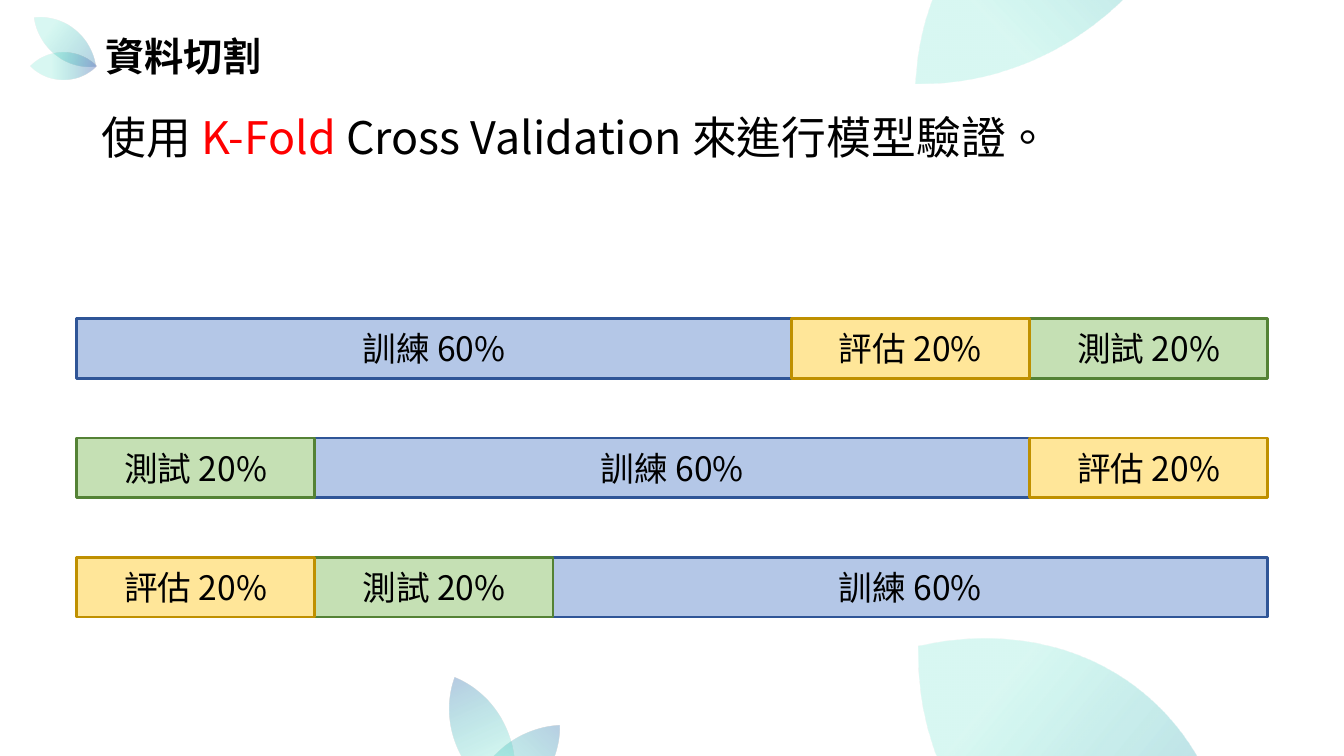
from lxml.etree import SubElement
from pptx import Presentation
from pptx.dml.color import RGBColor
from pptx.enum.lang import MSO_LANGUAGE_ID
from pptx.enum.shapes import MSO_SHAPE
from pptx.enum.text import MSO_ANCHOR, PP_ALIGN
from pptx.oxml.ns import qn
from pptx.util import Cm, Pt

COLORS = {
    "black": "000000", "red": "FF0000", "teal": "09D1AB", "violet": "6E7DC3",
    "blue": "B4C7E7", "dark blue": "2F5597", "green": "C5E0B4",
    "dark green": "548235", "yellow": "FFE699", "dark yellow": "BF9000",
}
SANS_SC, SANS_TC = "Noto Sans CJK SC", "Noto Sans CJK TC"
LANGUAGE = MSO_LANGUAGE_ID.TRADITIONAL_CHINESE

TEXTS = [
    {"box": (2.4, 0.69, 18.0, 1.45), "runs": [("資料切割", "black")],
     "format": {"name": SANS_SC, "size": Pt(28), "bold": True, "language_id": LANGUAGE}},
    {"box": (2.31, 2.64, 29.26, 1.63),
     "runs": [("使用 ", "black"), ("K-Fold", "red"),
              (" Cross Validation 來進行模型驗證。", "black")],
     "format": {"name": SANS_TC, "size": Pt(32), "language_id": LANGUAGE}},
]
PARTS = {"訓練": (60, "blue"), "測試": (20, "green"), "評估": (20, "yellow")}
FOLDS = [("訓練", "評估", "測試"), ("測試", "訓練", "評估"), ("評估", "測試", "訓練")]
BAR_FORMAT = {"name": SANS_TC, "size": Pt(24), "language_id": LANGUAGE}
BAR_LEFT, BAR_TOP, BAR_WIDTH, BAR_HEIGHT, BAR_STEP = 1.93, 8.03, 30.02, 1.5, 3.01

LEAVES = [
    (24.77, -6.5, 4.06, 10.21, 226.7), (1.24, 0.08, 0.79, 1.96, 307.6),
    (1.27, 0.84, 0.66, 1.65, 270), (24.43, 14.4, 5.33, 10.21, 309.3),
    (12.29, 17.81, 1.32, 3.35, 223.6), (11.48, 16.94, 1.32, 3.35, 155.8),
]
LEAF_STOPS = [(0, "teal", 15), (31, "teal", 15), (100, "violet", 50)]
LEAF_QUARTER = [(0.59, 0.04), (0.84, 0.16), (1, 0.32), (1, 0.5)]
LEAF_SEGMENTS = "LCCLLCCL"


def leaf_outline():
    """Return the knots and curve handles of an upright leaf in a unit square."""
    lower = [(x, 1 - y) for x, y in reversed(LEAF_QUARTER[:-1])]
    right = [(0.5, 0)] + LEAF_QUARTER + lower
    return right + [(1 - x, 1 - y) for x, y in right] + [(0.5, 0)]


def curve_outline(shape):
    """Merge each three line steps of a curved segment into one cubic curve."""
    lines = list(shape._element.iter(qn("a:lnTo")))
    for segment in LEAF_SEGMENTS:
        first = lines.pop(0)
        if segment == "C":
            first.tag = qn("a:cubicBezTo")
            for line in (lines.pop(0), lines.pop(0)):
                first.append(line[0])
                line.getparent().remove(line)


def add_leaf(slide, left, top, width, height, rotation):
    """Add one translucent leaf shaded from its top to its bottom tip."""
    points = [(Cm(left + x * width), Cm(top + y * height)) for x, y in leaf_outline()]
    builder = slide.shapes.build_freeform(*points[0])
    builder.add_line_segments(points[1:], close=True)
    shape = builder.convert_to_shape()
    curve_outline(shape)
    shape.rotation = rotation
    shape.shadow.inherit = False
    shape.line.fill.background()
    shape.fill.gradient()
    shape.fill.gradient_angle = 270
    stop_list = shape._element.spPr.find(qn("a:gradFill")).find(qn("a:gsLst"))
    for old_stop in list(stop_list):
        stop_list.remove(old_stop)
    for position, color, opacity in LEAF_STOPS:
        stop = SubElement(stop_list, qn("a:gs"), pos=str(position * 1000))
        color_element = SubElement(stop, qn("a:srgbClr"), val=COLORS[color])
        SubElement(color_element, qn("a:alpha"), val=str(opacity * 1000))


def add_run(paragraph, text, color, font_format):
    """Add a run with one typeface for Latin and East Asian text."""
    run = paragraph.add_run()
    run.text = text
    for attribute, value in font_format.items():
        setattr(run.font, attribute, value)
    run.font.color.rgb = RGBColor.from_string(COLORS[color])
    east_asian = SubElement(run.font._element, qn("a:ea"), typeface=font_format["name"])
    run.font._element.find(qn("a:latin")).addnext(east_asian)


def add_text(slide, box, runs, font_format):
    """Add a wrapped text box with one paragraph."""
    frame = slide.shapes.add_textbox(*map(Cm, box)).text_frame
    frame.word_wrap = True
    for text, color in runs:
        add_run(frame.paragraphs[0], text, color, font_format)


def add_fold(slide, row, fold):
    """Add one bar split into its training, test and evaluation parts."""
    for name, (share, color) in PARTS.items():
        before = sum(PARTS[part][0] for part in fold[:fold.index(name)])
        box = (BAR_LEFT + BAR_WIDTH * before / 100, BAR_TOP + BAR_STEP * row,
               BAR_WIDTH * share / 100, BAR_HEIGHT)
        shape = slide.shapes.add_shape(MSO_SHAPE.RECTANGLE, *map(Cm, box))
        shape.shadow.inherit = False
        shape.fill.solid()
        shape.fill.fore_color.rgb = RGBColor.from_string(COLORS[color])
        shape.line.color.rgb = RGBColor.from_string(COLORS["dark " + color])
        shape.line.width = Pt(2)
        shape.text_frame.vertical_anchor = MSO_ANCHOR.MIDDLE
        paragraph = shape.text_frame.paragraphs[0]
        paragraph.alignment = PP_ALIGN.CENTER
        add_run(paragraph, f"{name} {share}%", "black", BAR_FORMAT)


def main():
    """Build the data split slide."""
    presentation = Presentation()
    presentation.slide_width, presentation.slide_height = Cm(33.87), Cm(19.05)
    slide = presentation.slides.add_slide(presentation.slide_layouts[6])
    for leaf in LEAVES:
        add_leaf(slide, *leaf)
    for text in TEXTS:
        add_text(slide, text["box"], text["runs"], text["format"])
    for row, fold in enumerate(FOLDS):
        add_fold(slide, row, fold)
    presentation.save("out.pptx")


if __name__ == "__main__":
    main()
